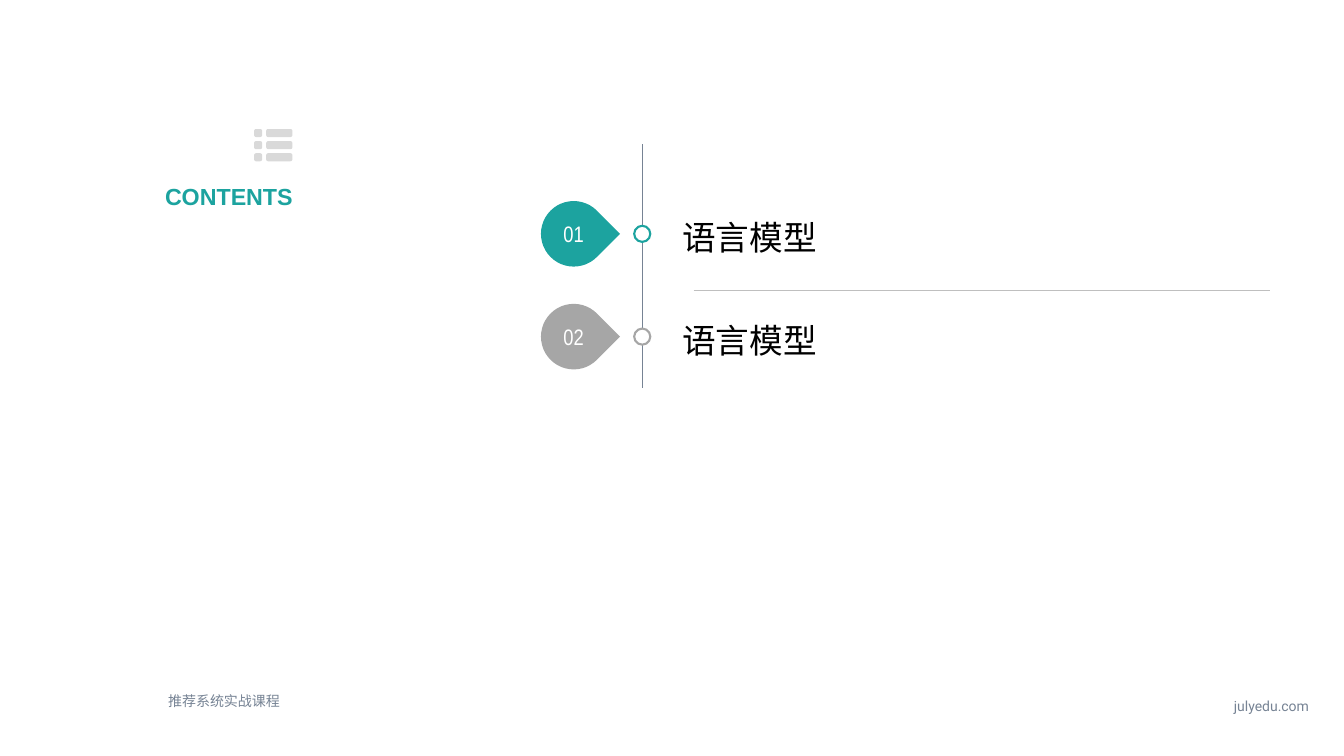
from dataclasses import dataclass
from math import cos, radians, sin

from lxml import etree
from pptx import Presentation
from pptx.dml.color import RGBColor
from pptx.enum import shapes, text
from pptx.oxml import ns
from pptx.util import Inches, Pt


@dataclass(frozen=True)
class Theme:
    teal: str = "1CA39F"
    gray: str = "A6A6A6"
    icon: str = "D9D9D9"
    divider: str = "BFBFBF"
    slate: str = "768394"
    white: str = "FFFFFF"
    black: str = "000000"
    heading: float = 16.6
    number: float = 16
    topic: float = 24
    footer: float = 10


THEME = Theme()


def write(frame, wording, *, size, color, font="Arial", bold=False,
          align=text.PP_ALIGN.LEFT, anchor=text.MSO_ANCHOR.MIDDLE,
          wrap=True, spacing=None):
    frame.word_wrap = wrap
    frame.vertical_anchor = anchor
    paragraph = frame.paragraphs[0]
    paragraph.alignment = align
    paragraph.line_spacing = spacing
    run = paragraph.add_run()
    run.text = wording
    run.font.size = Pt(size)
    run.font.name = font
    run.font.bold = bold
    run.font.color.rgb = RGBColor.from_string(color)


def add_text(slide, left, top, width, height, wording, **style):
    box = slide.shapes.add_textbox(Inches(left), Inches(top), Inches(width), Inches(height))
    write(box.text_frame, wording, **style)


def paint(shape, fill, outline=None):
    shape.shadow.inherit = False
    shape.fill.solid()
    shape.fill.fore_color.rgb = RGBColor.from_string(fill)
    if outline:
        shape.line.color.rgb = RGBColor.from_string(outline)
        shape.line.width = Pt(1.5)
    else:
        shape.line.fill.background()


def add_round(slide, kind, center_x, center_y, size, fill, outline=None):
    shape = slide.shapes.add_shape(
        kind, Inches(center_x - size / 2), Inches(center_y - size / 2),
        Inches(size), Inches(size))
    paint(shape, fill, outline)
    return shape


def add_line(slide, start, end, color, width):
    line = slide.shapes.add_connector(
        shapes.MSO_CONNECTOR.STRAIGHT, *map(Inches, start + end))
    line.line.color.rgb = RGBColor.from_string(color)
    line.line.width = Pt(width)
    etree.SubElement(line._element.spPr, ns.qn("a:effectLst"))


def rounded_outline(left, top, width, height, radius=0.02):
    corners = [
        (left + width - radius, top + radius, -90),
        (left + width - radius, top + height - radius, 0),
        (left + radius, top + height - radius, 90),
        (left + radius, top + radius, 180),
    ]
    return [
        (Inches(x + radius * cos(radians(start + turn))),
         Inches(y + radius * sin(radians(start + turn))))
        for x, y, start in corners for turn in (0, 30, 60, 90)
    ]


def add_list_icon(slide, left, top):
    bars = [
        rounded_outline(left + offset, top + row * 0.12, width, 0.08)
        for row in range(3) for offset, width in ((0, 0.08), (0.12, 0.26))
    ]
    builder = slide.shapes.build_freeform(*bars[0][0])
    builder.add_line_segments(bars[0][1:])
    for bar in bars[1:]:
        builder.move_to(*bar[0])
        builder.add_line_segments(bar[1:])
    paint(builder.convert_to_shape(), THEME.icon)


def add_heading(slide, left, top, width):
    add_text(slide, left, top + 0.49, width, 0.35, "CONTENTS",
             size=THEME.heading, color=THEME.teal, bold=True, align=text.PP_ALIGN.RIGHT)
    add_list_icon(slide, left + width - 0.48, top)


def add_topic(slide, left, top, number, topic, color):
    badge_x, middle = left + 0.32, top + 0.32
    add_round(slide, shapes.MSO_SHAPE.OVAL, left + 1, middle, 0.16, THEME.white, color)
    drop = add_round(slide, shapes.MSO_SHAPE.TEAR, badge_x, middle, 0.65, color)
    drop.rotation = 45
    badge = add_round(slide, shapes.MSO_SHAPE.OVAL, badge_x, middle, 0.63, color)
    write(badge.text_frame, number, size=THEME.number, color=THEME.white,
          font="Arial Narrow", align=text.PP_ALIGN.CENTER, wrap=False)
    add_text(slide, left + 1.3, top + 0.08, 5.93, 0.47, topic,
             size=THEME.topic, color=THEME.black, spacing=1.2)


def add_contents(slide, left, top, width, height):
    add_line(slide, (left + 1, top), (left + 1, top + height), THEME.slate, 0.5)
    topics = [("01", "语言模型", THEME.teal), ("02", "语言模型", THEME.gray)]
    for row, (number, topic, color) in enumerate(topics):
        add_topic(slide, left, top + 0.57 + row * 1.02, number, topic, color)
    divider_y = top + 1.45
    add_line(slide, (left + 1.51, divider_y), (left + width, divider_y), THEME.divider, 0.25)


def add_footer(slide, left, top, width):
    style = dict(size=THEME.footer, color=THEME.slate, anchor=text.MSO_ANCHOR.TOP)
    add_text(slide, left + width - 2.62, top + 0.05, 2.62, 0.27, "julyedu.com",
             font="Roboto", align=text.PP_ALIGN.RIGHT, **style)
    add_text(slide, left, top, 4.53, 0.23, "推荐系统实战课程", **style)


def main():
    deck = Presentation()
    deck.slide_width, deck.slide_height = Inches(13.33), Inches(7.5)
    slide = deck.slides.add_slide(deck.slide_layouts[6])
    add_heading(slide, 0.73, 1.28, 2.27)
    add_contents(slide, 5.37, 1.43, 7.23, 2.42)
    add_footer(slide, 1.57, 6.82, 11.51)
    deck.save("out.pptx")


if __name__ == "__main__":
    main()
